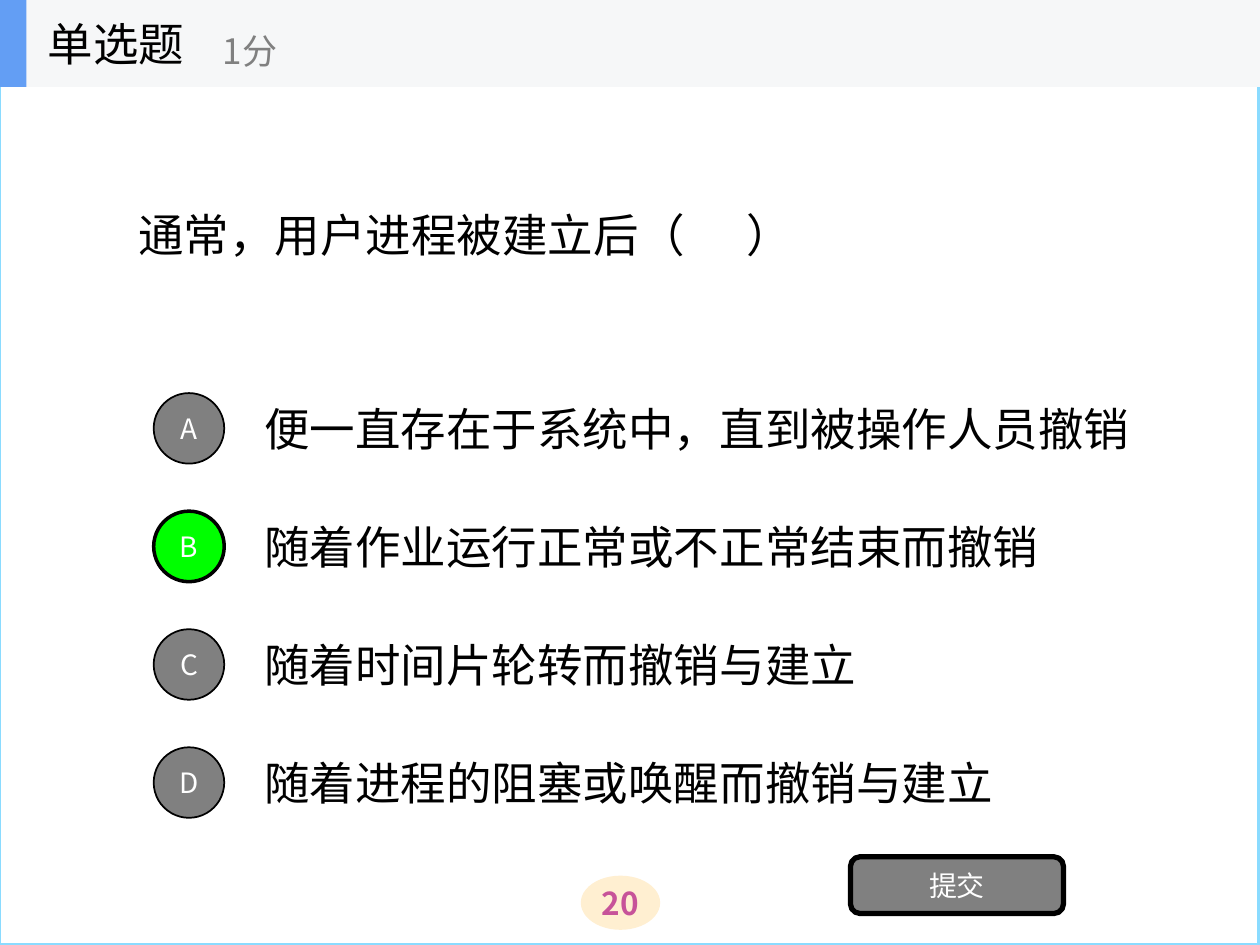
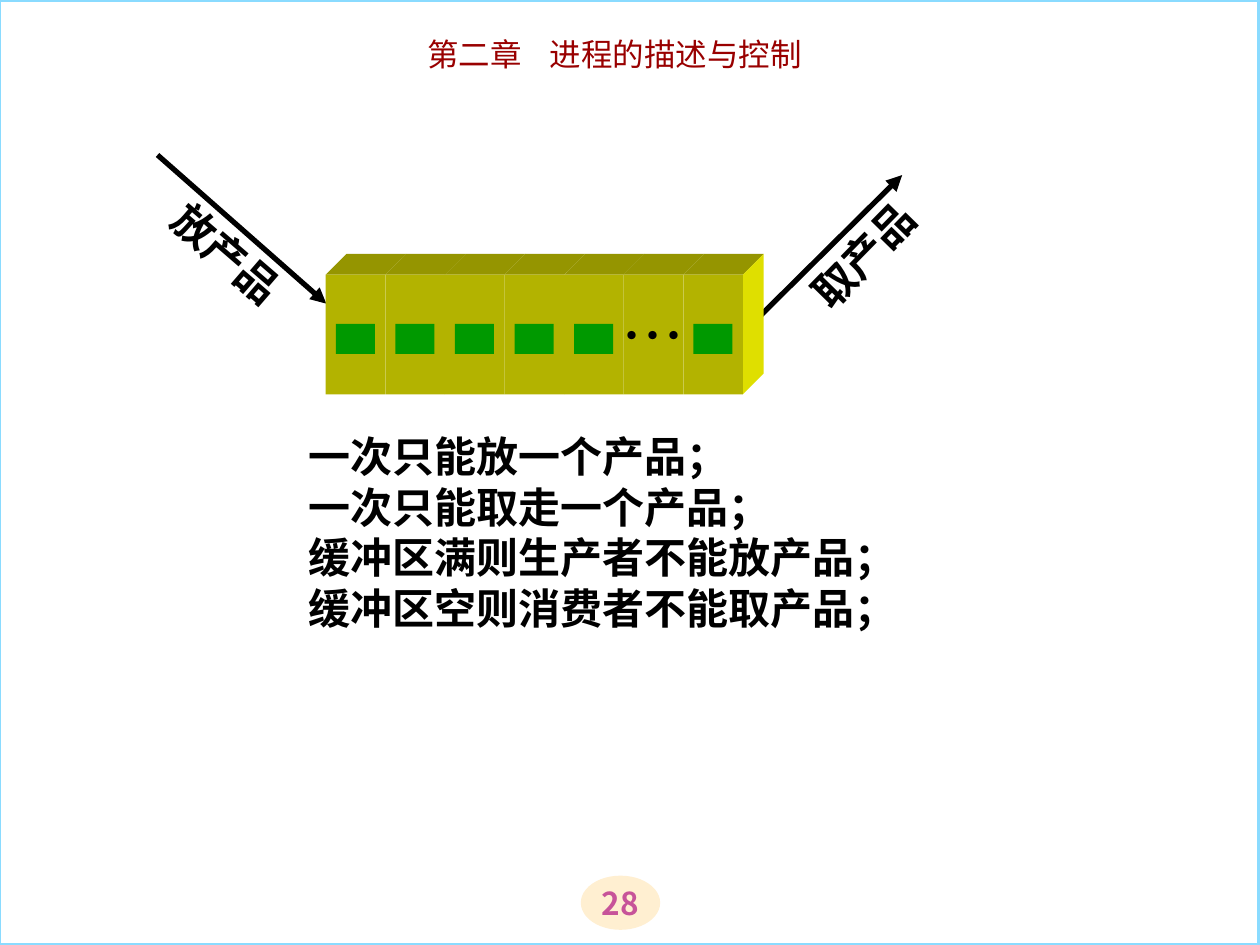
from dataclasses import dataclass
from typing import NamedTuple, Optional

from lxml.etree import SubElement
from pptx import Presentation
from pptx.dml.color import RGBColor
from pptx.enum.shapes import MSO_CONNECTOR, MSO_SHAPE
from pptx.enum.text import MSO_ANCHOR, PP_ALIGN
from pptx.oxml.ns import qn
from pptx.util import Emu, Inches, Pt

SLIDE_W, SLIDE_H = Inches(10), Inches(7.5)
COLS, ROWS = 100, 75

BLACK = RGBColor(0x00, 0x00, 0x00)
WHITE = RGBColor(0xFF, 0xFF, 0xFF)
GRAY = RGBColor(0x80, 0x80, 0x80)
FRAME_BLUE = RGBColor(0x8A, 0xDB, 0xFF)
BADGE_CREAM = RGBColor(0xFF, 0xEF, 0xD1)
BADGE_PINK = RGBColor(0xC7, 0x53, 0x99)
HEADER_GRAY = RGBColor(0xF6, 0xF7, 0xF8)
HEADER_BLUE = RGBColor(0x63, 0x9E, 0xF4)
ANSWER_GREEN = RGBColor(0x00, 0xFF, 0x00)
CHAPTER_RED = RGBColor(0x99, 0x00, 0x00)
CELL_FRONT = RGBColor(0xB3, 0xB3, 0x00)
CELL_TOP = RGBColor(0x95, 0x95, 0x00)
CELL_SIDE = RGBColor(0xDF, 0xDF, 0x00)
PRODUCT_GREEN = RGBColor(0x00, 0x99, 0x00)


class Box(NamedTuple):
    x: float
    y: float
    w: float
    h: float


class Point(NamedTuple):
    x: float
    y: float


@dataclass(frozen=True)
class Style:
    size: float
    color: RGBColor = BLACK
    bold: bool = False
    font: str = "Noto Sans CJK SC"
    align: PP_ALIGN = PP_ALIGN.LEFT
    wrap: bool = True
    inset: bool = True
    line_pt: Optional[float] = None


@dataclass(frozen=True)
class Option:
    letter: str
    text: str
    correct: bool = False


@dataclass(frozen=True)
class Transfer:
    label: str
    start: Point
    end: Point
    box: Box
    angle: float


QUESTION = Style(26)
HEADING = Style(26, wrap=False)
SCORE = Style(20, GRAY, wrap=False)
BUTTON = Style(16, WHITE, align=PP_ALIGN.CENTER)
BADGE = Style(18, BADGE_PINK, True, align=PP_ALIGN.CENTER, inset=False)
CHAPTER = Style(18, CHAPTER_RED, font="Noto Sans CJK JP", align=PP_ALIGN.CENTER)
LABEL = Style(24, bold=True, align=PP_ALIGN.CENTER)
RULES = Style(24, bold=True, line_pt=28.8)
ELLIPSIS = Style(36, align=PP_ALIGN.CENTER, wrap=False)

OPTIONS = (
    Option("A", "便一直存在于系统中，直到被操作人员撤销"),
    Option("B", "随着作业运行正常或不正常结束而撤销", True),
    Option("C", "随着时间片轮转而撤销与建立"),
    Option("D", "随着进程的阻塞或唤醒而撤销与建立"),
)
OPTION_TOP, OPTION_PITCH = 30.5, 9.37

TRANSFERS = (
    Transfer("放产品", Point(12.5, 12.3), Point(25.9, 24.1), Box(11.7, 17.6, 12.6, 5), 40.8),
    Transfer("取产品", Point(59.7, 25.7), Point(71.6, 13.9), Box(62.2, 17.7, 12.6, 5), 314.4),
)
BUFFER_RULES = (
    "一次只能放一个产品；",
    "一次只能取走一个产品；",
    "缓冲区满则生产者不能放产品；",
    "缓冲区空则消费者不能取产品；",
)
CELL_COUNT, ELLIPSIS_CELL = 7, 5
CELL = Box(25.85, 21.8, 4.73, 9.5)
CELL_DEPTH = 1.65


def col(n: float) -> Emu:
    return Emu(round(SLIDE_W * n / COLS))


def row(n: float) -> Emu:
    return Emu(round(SLIDE_H * n / ROWS))


def place(box: Box) -> tuple:
    return col(box.x), row(box.y), col(box.w), row(box.h)


def add_run(p, text: str, style: Style, spacing: float = 0) -> None:
    r = p.add_run()
    r.text = text
    r.font.size = Pt(style.size)
    r.font.bold = style.bold
    r.font.color.rgb = style.color
    r.font.name = style.font
    rPr = r.font._element
    SubElement(rPr, qn("a:ea")).set("typeface", style.font)
    if spacing:
        rPr.set("spc", str(round(spacing * 100)))


def write(sp, lines, style: Style, gap: float = 0) -> None:
    tf = sp.text_frame
    tf.word_wrap = style.wrap
    tf.vertical_anchor = MSO_ANCHOR.MIDDLE
    if not style.inset:
        tf.margin_left = tf.margin_right = tf.margin_top = tf.margin_bottom = 0
    for i, line in enumerate(lines):
        p = tf.paragraphs[0] if i == 0 else tf.add_paragraph()
        p.alignment = style.align
        if style.line_pt:
            p.line_spacing = Pt(style.line_pt)
        for j, part in enumerate(line.split(" ")):
            if j:
                add_run(p, " ", style, gap)
            add_run(p, part, style)


def add_text(s, box: Box, lines, style: Style, gap: float = 0, angle: float = 0) -> None:
    sp = s.shapes.add_textbox(*place(box))
    sp.rotation = angle
    write(sp, lines, style, gap)


def paint(sp, fill: Optional[RGBColor], line: Optional[RGBColor] = None, width: float = 1) -> None:
    sp.shadow.inherit = False
    if fill is None:
        sp.fill.background()
    else:
        sp.fill.solid()
        sp.fill.fore_color.rgb = fill
    if line is None:
        sp.line.fill.background()
    else:
        sp.line.color.rgb = line
        sp.line.width = Pt(width)


def add_shape(s, kind: MSO_SHAPE, box: Box, fill: Optional[RGBColor],
              line: Optional[RGBColor] = None, width: float = 1,
              text: str = "", style: Style = BUTTON) -> None:
    sp = s.shapes.add_shape(kind, *place(box))
    paint(sp, fill, line, width)
    if text:
        write(sp, [text], style)


def add_face(s, points, fill: RGBColor) -> None:
    corners = [(col(x), row(y)) for x, y in points]
    fb = s.shapes.build_freeform(*corners[0])
    fb.add_line_segments(corners[1:], close=True)
    paint(fb.convert_to_shape(), fill)


def add_arrow(s, start: Point, end: Point) -> None:
    cx = s.shapes.add_connector(MSO_CONNECTOR.STRAIGHT, col(start.x), row(start.y),
                                col(end.x), row(end.y))
    cx.line.color.rgb = BLACK
    cx.line.width = Pt(3)
    SubElement(cx.line._get_or_add_ln(), qn("a:tailEnd")).set("type", "triangle")
    SubElement(cx._element.spPr, qn("a:effectLst"))


def add_base_slide(prs, number: int):
    s = prs.slides.add_slide(prs.slide_layouts[6])
    add_shape(s, MSO_SHAPE.OVAL, Box(46.1, 69.5, 6.3, 4.3), BADGE_CREAM,
              text=str(number), style=BADGE)
    add_shape(s, MSO_SHAPE.RECTANGLE, Box(-0.1, 0, COLS, ROWS), None, FRAME_BLUE, 2.25)
    return s


def add_option(s, index: int, option: Option) -> None:
    y = OPTION_TOP + index * OPTION_PITCH
    add_text(s, Box(20, y, 75.7, 7), [option.text], QUESTION)
    fill, width = (ANSWER_GREEN, 2) if option.correct else (GRAY, 1)
    add_shape(s, MSO_SHAPE.OVAL, Box(12.2, y + 0.7, 5.6, 5.6), fill, BLACK, width, option.letter)


def build_quiz(prs) -> None:
    s = add_base_slide(prs, 20)
    add_text(s, Box(10, 6.9, 80, 23.4), ["通常，用户进程被建立后（ ）"], QUESTION, gap=29)
    for i, option in enumerate(OPTIONS):
        add_option(s, i, option)
    add_shape(s, MSO_SHAPE.ROUNDED_RECTANGLE, Box(67.5, 68, 16.9, 4.5), GRAY, BLACK, 3, "提交")
    for width, fill in ((COLS, HEADER_GRAY), (2.1, HEADER_BLUE)):
        add_shape(s, MSO_SHAPE.RECTANGLE, Box(0, 0, width, 6.9), fill)
    add_text(s, Box(2.8, 0, 20.8, 6.9), ["单选题"], HEADING)
    add_text(s, Box(16.7, 1.2, 25, 5.6), ["1分"], SCORE)


def add_cell(s, index: int) -> None:
    left, top = CELL.x + index * CELL.w, CELL.y
    right, bottom = left + CELL.w, top + CELL.h
    d = CELL_DEPTH
    add_face(s, ((left, top), (left + d, top - d), (right + d, top - d), (right, top)), CELL_TOP)
    if index == CELL_COUNT - 1:
        add_face(s, ((right, top), (right + d, top - d), (right + d, bottom - d),
                     (right, bottom)), CELL_SIDE)
    is_ellipsis = index == ELLIPSIS_CELL
    add_shape(s, MSO_SHAPE.RECTANGLE, Box(left, top, CELL.w, CELL.h), CELL_FRONT,
              text="…" if is_ellipsis else "", style=ELLIPSIS)
    if not is_ellipsis:
        add_shape(s, MSO_SHAPE.RECTANGLE, Box(left + 0.8, top + 3.9, 3.1, 2.4), PRODUCT_GREEN)


def build_buffer(prs) -> None:
    s = add_base_slide(prs, 28)
    add_text(s, Box(20.8, 2.3, 55.9, 4), ["第二章 进程的描述与控制"], CHAPTER, gap=12)
    for t in TRANSFERS:
        add_arrow(s, t.start, t.end)
    for i in range(CELL_COUNT):
        add_cell(s, i)
    for t in TRANSFERS:
        add_text(s, t.box, [t.label], LABEL, angle=t.angle)
    add_text(s, Box(23.5, 33.6, 55.1, 17.2), BUFFER_RULES, RULES)


def main() -> None:
    prs = Presentation()
    prs.slide_width, prs.slide_height = SLIDE_W, SLIDE_H
    build_quiz(prs)
    build_buffer(prs)
    prs.save("out.pptx")


if __name__ == "__main__":
    main()
